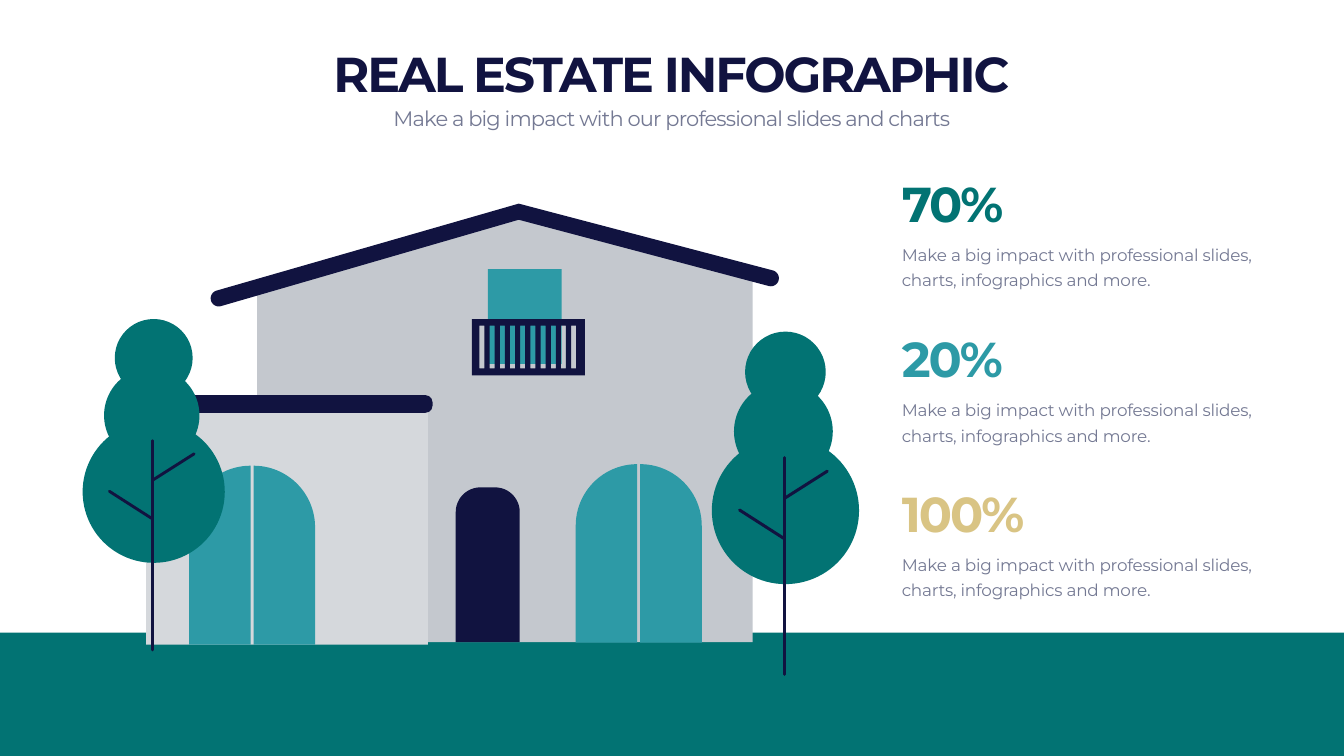
"""Build the real estate infographic slide: a house between two trees, and three figures."""
from dataclasses import dataclass
from math import cos, radians, sin

from pptx import Presentation
from pptx.dml.color import RGBColor as RGB
from pptx.enum.shapes import MSO_SHAPE as SHAPE
from pptx.enum.text import MSO_ANCHOR as ANCHOR, MSO_AUTO_SIZE as AUTO, PP_ALIGN as ALIGN
from pptx.util import Inches, Pt

COLORS = {
    "green": "027373", "teal": "2D9AA6", "gold": "D9C484", "navy": "111340",
    "wall": "C4C8CE", "annex": "D5D8DC", "grey": "747993",
}
FONT = "Montserrat"
Point = tuple[float, float]


@dataclass
class Style:
    size: int
    color: str
    spacing: int
    bold: bool = False
    align: ALIGN = ALIGN.LEFT
    anchor: ANCHOR = ANCHOR.TOP
    leading: int | None = None


@dataclass
class Stat:
    value: str
    color: str
    top: float


@dataclass
class Tree:
    x: float
    top: float
    scale: float


@dataclass
class Window:
    left: float
    top: float
    bottom: float


STATS = [Stat("70%", "green", 3.37), Stat("20%", "teal", 6.46), Stat("100%", "gold", 9.53)]
BLURB = "Make a big impact with professional slides, charts, infographics and more."
TREES = [Tree(15.56, 6.58, 1), Tree(3.03, 6.33, 2.81 / 2.91)]
LOBES = [(0.02, 0.8, 0.8), (-0.02, 1.98, 0.98), (0.02, 3.55, 1.46)]
BRANCHES = [[(0, 2.5), (0, 6.8)], [(0, 3.31), (0.85, 2.77)], [(0, 4.11), (-0.89, 3.54)]]


def paint(shape, color: str) -> None:
    shape.shadow.inherit = False
    shape.fill.solid()
    shape.fill.fore_color.rgb = RGB.from_string(COLORS[color])
    shape.line.fill.background()


def add_block(shapes, kind: SHAPE, box: tuple, color: str, radius: float | None = None) -> None:
    block = shapes.add_shape(kind, *map(Inches, box))
    if radius is not None:
        block.adjustments[0] = radius / min(box[2:])
    paint(block, color)


def trace(shapes, contours: list[list[Point]], close: bool):
    first, *rest = [[(Inches(x), Inches(y)) for x, y in contour] for contour in contours]
    builder = shapes.build_freeform(*first[0])
    builder.add_line_segments(first[1:], close=close)
    for contour in rest:
        builder.move_to(*contour[0])
        builder.add_line_segments(contour[1:], close=close)
    return builder.convert_to_shape()


def add_outline(shapes, contours: list[list[Point]], color: str) -> None:
    paint(trace(shapes, contours, close=True), color)


def arc(cx: float, cy: float, r: float, start: int, end: int, steps: int = 24) -> list[Point]:
    angles = [radians(start + (end - start) * i / steps) for i in range(steps + 1)]
    return [(cx + r * cos(a), cy + r * sin(a)) for a in angles]


def rect(left: float, top: float, right: float, bottom: float) -> list[Point]:
    return [(left, top), (right, top), (right, bottom), (left, bottom)]


def add_window(shapes, window: Window) -> None:
    r, gap = 1.22, 0.06
    for edge, start in ((window.left + r, 180), (window.left + r + gap, 360)):
        curve = arc(edge, window.top + r, r, start, 270)
        add_outline(shapes, [[(curve[0][0], window.bottom), *curve, (edge, window.bottom)]], "teal")


def add_tree(shapes, tree: Tree) -> None:
    k = tree.scale
    for dx, dy, r in LOBES:
        box = (tree.x + (dx - r) * k, tree.top + (dy - r) * k, 2 * r * k, 2 * r * k)
        add_block(shapes, SHAPE.OVAL, box, "green")
    strokes = [[(tree.x + x * k, tree.top + y * k) for x, y in branch] for branch in BRANCHES]
    trunk = trace(shapes, strokes, close=False)
    trunk.shadow.inherit = False
    trunk.fill.background()
    trunk.line.color.rgb = RGB.from_string(COLORS["navy"])
    trunk.line.width = Pt(4.3 * k)
    trunk.line._get_or_add_ln().set("cap", "rnd")


def add_house(shapes) -> None:
    wall = [(5.1, 12.74), (5.1, 5.7), (10.34, 4.25), (14.93, 5.5), (14.93, 12.74)]
    add_outline(shapes, [wall], "wall")
    add_block(shapes, SHAPE.RECTANGLE, (9.68, 5.34, 1.46, 1.88), "teal")
    pitch = (11.33 - 9.51) / 9
    slots = [rect(9.51 + i * pitch, 6.46, 9.61 + i * pitch, 7.31) for i in range(10)]
    add_outline(shapes, [rect(9.36, 6.33, 11.6, 7.45), *slots], "navy")
    add_window(shapes, Window(11.42, 9.21, 12.75))
    add_block(shapes, SHAPE.RECTANGLE, (2.9, 8.03, 5.59, 4.76), "annex")
    add_window(shapes, Window(3.75, 9.24, 12.79))
    add_block(shapes, SHAPE.ROUND_2_SAME_RECTANGLE, (9.04, 9.67, 1.27, 3.07), "navy", 0.49)
    add_block(shapes, SHAPE.ROUNDED_RECTANGLE, (2.78, 7.84, 5.8, 0.35), "navy", 0.14)
    roof = [(10.29, 4.04), *arc(4.34, 5.92, 0.16, 253, 73),
            (10.29, 4.36), *arc(15.29, 5.52, 0.16, 105, -75)]
    add_outline(shapes, [roof], "navy")


def write(shape, box: tuple, text: str, style: Style) -> None:
    shape.left, shape.top, shape.width, shape.height = map(Inches, box)
    tf = shape.text_frame
    tf.word_wrap = True
    tf.auto_size = AUTO.SHAPE_TO_FIT_TEXT
    tf.vertical_anchor = style.anchor
    p = tf.paragraphs[0]
    p.text = text
    p.alignment = style.align
    p.space_before = Pt(0)
    p.line_spacing = Pt(style.leading) if style.leading else 1.0
    p.font.name, p.font.size, p.font.bold = FONT, Pt(style.size), style.bold
    p.font.color.rgb = RGB.from_string(COLORS[style.color])
    p.runs[0]._r.get_or_add_rPr().set("spc", str(style.spacing))


def add_stat(shapes, stat: Stat) -> None:
    figure = Style(70, stat.color, -290, bold=True, anchor=ANCHOR.BOTTOM)
    blurb = Style(24, "grey", -30, leading=36)
    for top, height, text, style in ((stat.top, 1.28, stat.value, figure),
                                     (stat.top + 1.33, 1.07, BLURB, blurb)):
        box = (17.79, top, 7.92, height)
        write(shapes.add_textbox(*map(Inches, box)), box, text, style)


def main() -> None:
    prs = Presentation()
    prs.slide_width, prs.slide_height = Inches(26.66), Inches(15)
    s = prs.slides.add_slide(prs.slide_layouts[0])
    write(s.shapes.title, (1.66, 0.8, 23.33, 1.28), "REAL ESTATE INFOGRAPHIC",
          Style(70, "navy", -290, True, ALIGN.CENTER, ANCHOR.BOTTOM))
    write(s.placeholders[1], (1.66, 2.04, 23.33, 0.61),
          "Make a big impact with our professional slides and charts",
          Style(30, "grey", -120, align=ALIGN.CENTER))
    add_block(s.shapes, SHAPE.RECTANGLE, (0, 12.55, 26.66, 2.45), "green")
    scene = s.shapes.add_group_shape().shapes
    add_house(scene)
    for tree in TREES:
        add_tree(scene, tree)
    for stat in STATS:
        add_stat(s.shapes, stat)
    prs.save("out.pptx")


main()
